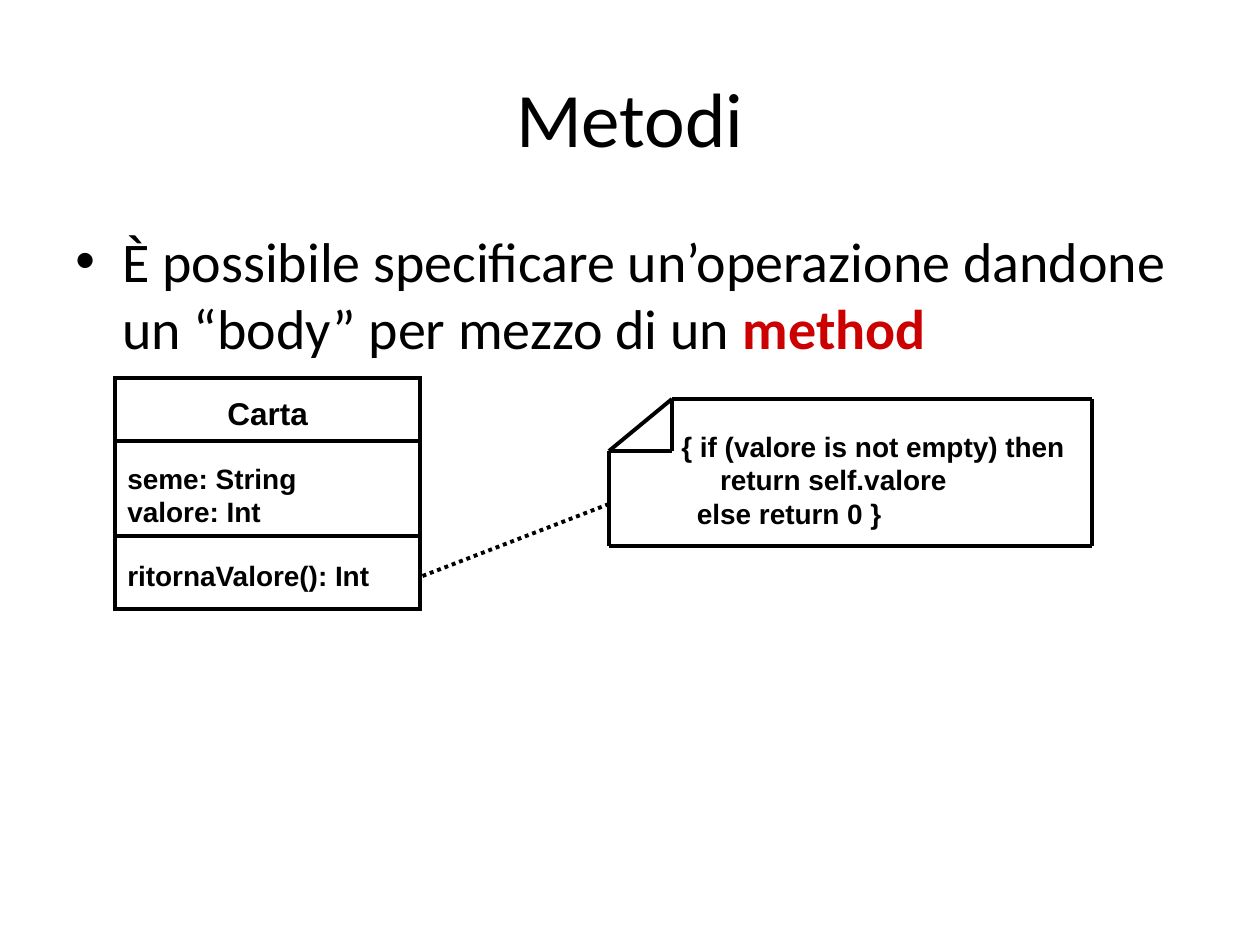
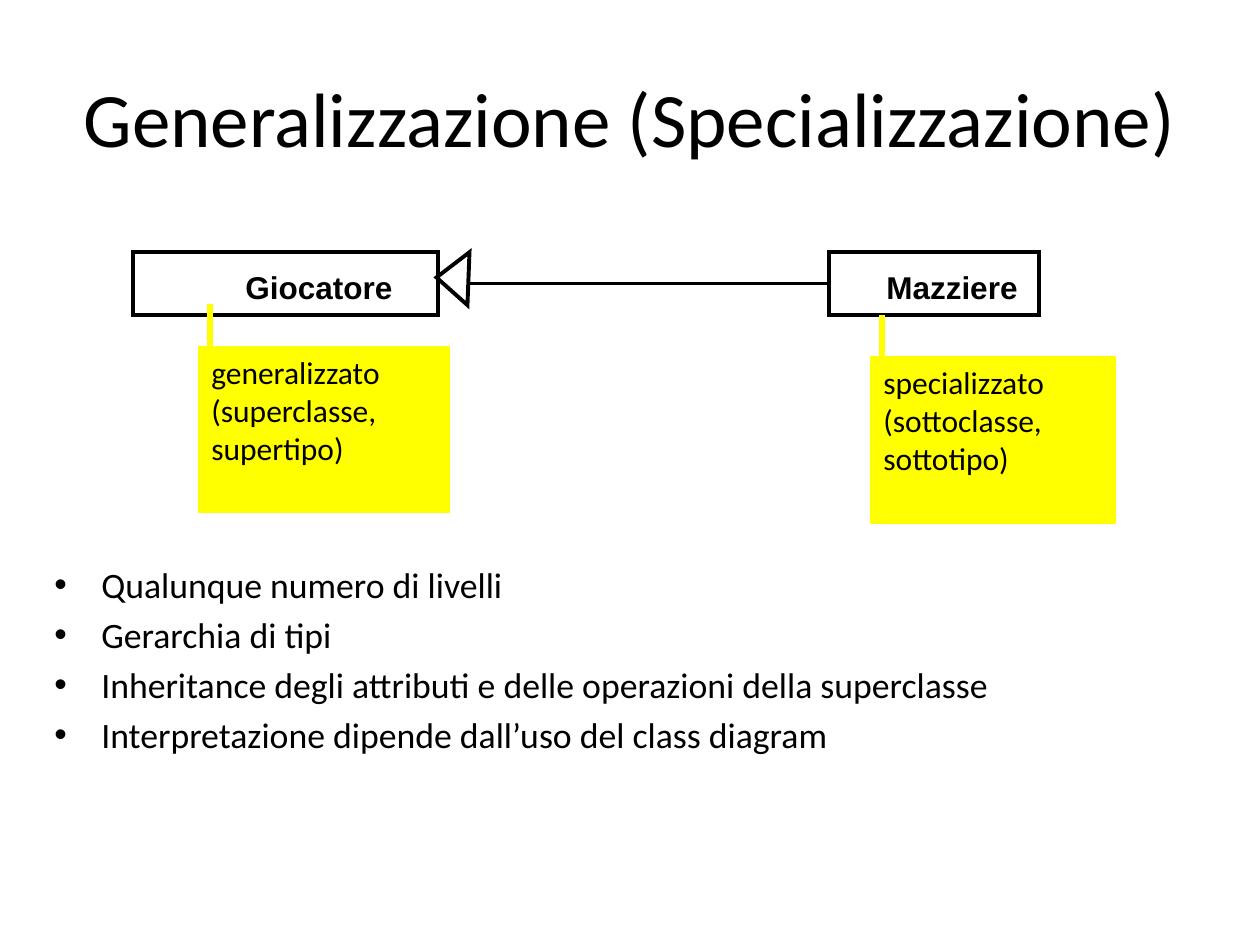
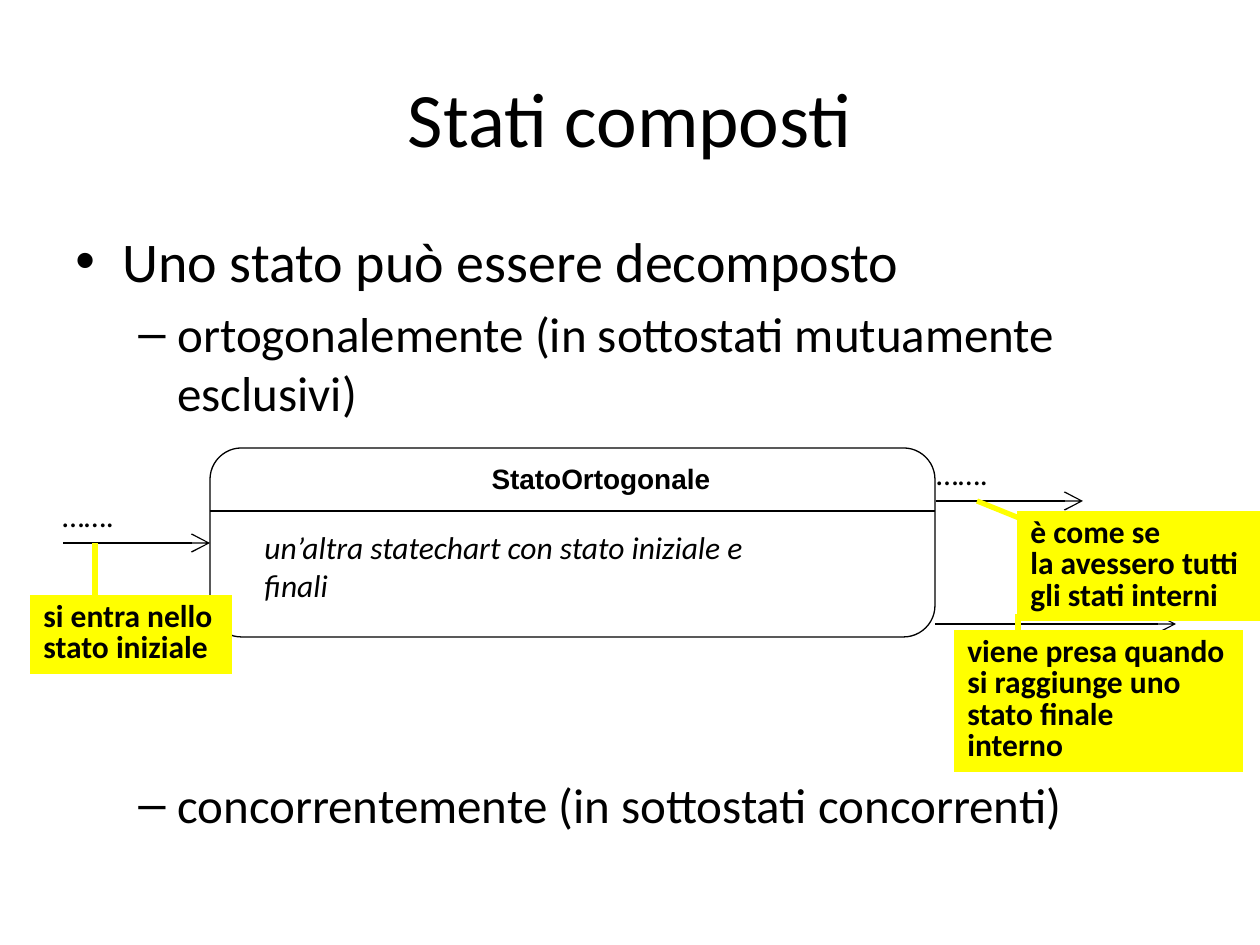
from lxml import etree
from pptx import Presentation
from pptx import util as u
from pptx.dml.color import RGBColor
from pptx.enum import dml, shapes, text
from pptx.oxml import ns

PX = 914400 / 126
BLACK = RGBColor(0x00, 0x00, 0x00)
RED = RGBColor(0xCC, 0x00, 0x00)
YELLOW = RGBColor(0xFF, 0xFF, 0x00)
BODY_FONT = "Calibri"
UML_FONT = "Arial"
TITLE_ONLY = 5
THIN, THICK, POINTER = 0.75, 2.25, 3
RIGHT_ARROW = "arrow"
LEFT_SIDE = 1
BULLETS = [("•", 47, 47), ("–", 102, 39)]


def px(*lengths):
    return [u.Emu(round(length * PX)) for length in lengths]


def add_run(para, words, size, font=BODY_FONT, color=BLACK, bold=False, italic=False):
    span = para.add_run()
    span.text = words
    span.font.name = font
    span.font.size = u.Pt(size)
    span.font.color.rgb = color
    span.font.bold = bold
    span.font.italic = italic


def next_para(frame, index):
    return frame.add_paragraph() if index else frame.paragraphs[0]


def write_lines(frame, lines, size, align=text.PP_ALIGN.LEFT, spacing=None, **style):
    for index, words in enumerate(lines):
        para = next_para(frame, index)
        para.alignment = align
        if spacing:
            para.line_spacing = u.Pt(spacing)
        add_run(para, words, size, **style)


def add_label(page, left, top, width, height, lines, size, **style):
    box = page.shapes.add_textbox(*px(left, top, width, height))
    box.text_frame.word_wrap = False
    box.text_frame.auto_size = text.MSO_AUTO_SIZE.SHAPE_TO_FIT_TEXT
    write_lines(box.text_frame, lines, size, **style)


def add_line(page, start, end, weight, color=BLACK, dash=None, arrow=None):
    line = page.shapes.add_connector(shapes.MSO_CONNECTOR.STRAIGHT, *px(*start, *end))
    line.line.color.rgb = color
    line.line.width = u.Pt(weight)
    if dash:
        line.line.dash_style = dash
    if arrow:
        etree.SubElement(line.line._get_or_add_ln(), ns.qn("a:tailEnd"),
                         type=arrow, w="lg", len="lg")
    etree.SubElement(line._element.spPr, ns.qn("a:effectLst"))
    return line


def add_outline(page, kind, left, top, width, height, weight, color=BLACK, fill=None):
    shape = page.shapes.add_shape(kind, *px(left, top, width, height))
    shape.shadow.inherit = False
    shape.line.color.rgb = color
    shape.line.width = u.Pt(weight)
    etree.SubElement(shape.line._get_or_add_ln(), ns.qn("a:miter"), lim="800000")
    if fill:
        shape.fill.solid()
        shape.fill.fore_color.rgb = fill
    else:
        shape.fill.background()
    return shape


def add_page(deck, heading):
    page = deck.slides.add_slide(deck.slide_layouts[TITLE_ONLY])
    title = page.shapes.title
    title.left, title.top, title.width, title.height = px(63, 38, 1134, 157)
    title.text_frame.vertical_anchor = text.MSO_ANCHOR.MIDDLE
    para = title.text_frame.paragraphs[0]
    para.alignment = text.PP_ALIGN.CENTER
    add_run(para, heading, 44)
    return page


def add_bullets(page, left, top, width, height, items):
    frame = page.shapes.add_textbox(*px(left, top, width, height)).text_frame
    frame.word_wrap = True
    for index, (level, size, before, spans) in enumerate(items):
        para = next_para(frame, index)
        mark, margin, hanging = BULLETS[level]
        properties = para._p.get_or_add_pPr()
        properties.set("marL", str(px(margin)[0]))
        properties.set("indent", str(-px(hanging)[0]))
        etree.SubElement(properties, ns.qn("a:buFont"), typeface=UML_FONT)
        etree.SubElement(properties, ns.qn("a:buChar"), char=mark)
        para.level = level
        para.space_before = u.Pt(before)
        for words, style in spans:
            add_run(para, words, size, **style)


def add_callout(page, left, top, width, height, lines, start, end, **style):
    add_line(page, start, end, POINTER, YELLOW)
    note = add_outline(page, shapes.MSO_SHAPE.RECTANGLE, left, top, width, height,
                       THIN, YELLOW, YELLOW)
    note.text_frame.word_wrap = True
    note.text_frame.vertical_anchor = text.MSO_ANCHOR.TOP
    write_lines(note.text_frame, lines, 18, **style)


def add_class(page, left, top, width, height, name, name_left, name_width):
    box = add_outline(page, shapes.MSO_SHAPE.RECTANGLE, left, top, width, height, THICK)
    add_label(page, left + name_left, top + 10, name_width, 50, [name], 18,
              font=UML_FONT, bold=True)
    return box


def add_full_class(page, left, top, width, height):
    add_class(page, left, top, width, height, "Carta", 100, 115)
    for rule in (63, 158):
        add_line(page, (left, top + rule), (left + width, top + rule), THICK)
    add_label(page, left, top + 77, 203, 81, ["seme: String", "valore: Int"], 16,
              font=UML_FONT, bold=True)
    add_label(page, left, top + 174, 278, 47, ["ritornaValore(): Int"], 16,
              font=UML_FONT, bold=True)


def add_code_note(page, left, top, width, height):
    right, bottom = left + width, top + height
    fold_x, fold_y = left + 63, top + 52
    outline = [(fold_x, fold_y), (fold_x, top), (left, fold_y), (left, bottom),
               (right, bottom), (right, top), (fold_x, top)]
    for start, end in zip(outline, outline[1:]):
        add_line(page, start, end, THICK)
    add_line(page, (left, fold_y), (fold_x, fold_y), THICK)
    code = ["{ if (valore is not empty) then", "     return self.valore",
            "  else return 0 }"]
    add_label(page, left + 60, top + 24, 422, 113, code, 16, font=UML_FONT, bold=True)


def add_transition(page, left, top, length, label_left):
    add_line(page, (left, top), (left + length, top), THIN, arrow=RIGHT_ARROW)
    add_label(page, label_left, top - 53, 120, 63, ["……."], 18)


def add_state(page, left, top, width, height):
    add_outline(page, shapes.MSO_SHAPE.FLOWCHART_ALTERNATE_PROCESS,
                left, top, width, height, THIN)
    add_line(page, (left, top + 63), (left + width, top + 63), THIN)
    add_label(page, left + 265, top + 7, 252, 47, ["StatoOrtogonale"], 16,
              font=UML_FONT, bold=True, align=text.PP_ALIGN.CENTER)
    add_label(page, left + 42, top + 74, 678, 113,
              ["un’altra statechart con stato iniziale e", "finali"], 18, italic=True)


def methods_page(deck):
    page = add_page(deck, "Metodi")
    add_bullets(page, 63, 220, 1134, 624, [
        (0, 32, 0, [("È possibile specificare un’operazione dandone un “body” "
                     "per mezzo di un ", {}),
                    ("method", {"color": RED, "bold": True})])])
    add_full_class(page, 115, 378, 305, 231)
    add_code_note(page, 609, 399, 483, 147)
    add_line(page, (609, 504), (420, 577), THICK, dash=dml.MSO_LINE.ROUND_DOT)


def generalization_page(deck):
    page = add_page(deck, "Generalizzazione (Specializzazione)")
    points = ["Qualunque numero di livelli", "Gerarchia di tipi",
              "Inheritance degli attributi e delle operazioni della superclasse",
              "Interpretazione dipende dall’uso del class diagram"]
    add_bullets(page, 42, 557, 1187, 179,
                [(0, 20.4, 4.08 if index else 0, [(words, {})])
                 for index, words in enumerate(points)])
    add_class(page, 133, 252, 305, 63, "Giocatore", 100, 182)
    subclass = add_class(page, 829, 252, 210, 63, "Mazziere", 45, 165)
    link = add_line(page, (467, 283), (829, 283), THICK)
    link.end_connect(subclass, LEFT_SIDE)
    link.begin_y = link.end_y
    head = add_outline(page, shapes.MSO_SHAPE.FLOWCHART_EXTRACT, 426, 262, 53, 32, THICK)
    head.rotation = 272.2
    add_callout(page, 871, 357, 244, 166, ["specializzato", "(sottoclasse,", "sottotipo)"],
                (882, 315), (882, 388))
    add_callout(page, 199, 347, 250, 165, ["generalizzato", "(superclasse,", "supertipo)"],
                (210, 304), (210, 378))


def composite_states_page(deck):
    page = add_page(deck, "Stati composti")
    add_bullets(page, 63, 220, 1134, 709, [
        (0, 32, 0, [("Uno stato può essere decomposto", {})]),
        (1, 28, 5.6, [("ortogonalemente (in sottostati mutuamente esclusivi)", {})]),
        (1, 28, 202, [("concorrentemente (in sottostati concorrenti)", {})])])
    add_state(page, 210, 448, 725, 189)
    add_line(page, (935, 624), (1176, 624), THIN, arrow=RIGHT_ARROW)
    add_transition(page, 63, 543, 147, 50)
    add_transition(page, 936, 501, 147, 924)
    callouts = [
        (31, 596, 200, 77, ["si entra nello", "stato iniziale"], (95, 627), (95, 543)),
        (955, 631, 287, 140,
         ["viene presa quando", "si raggiunge uno", "stato finale", "interno"],
         (1018, 697), (1018, 614)),
        (1018, 512, 242, 108, ["è come se", "la avessero tutti", "gli stati interni"],
         (1081, 543), (977, 501))]
    for callout in callouts:
        add_callout(page, *callout, bold=True, spacing=18)


def main():
    deck = Presentation()
    deck.slide_width, deck.slide_height = px(1260, 945)
    methods_page(deck)
    generalization_page(deck)
    composite_states_page(deck)
    deck.save("out.pptx")


if __name__ == "__main__":
    main()
